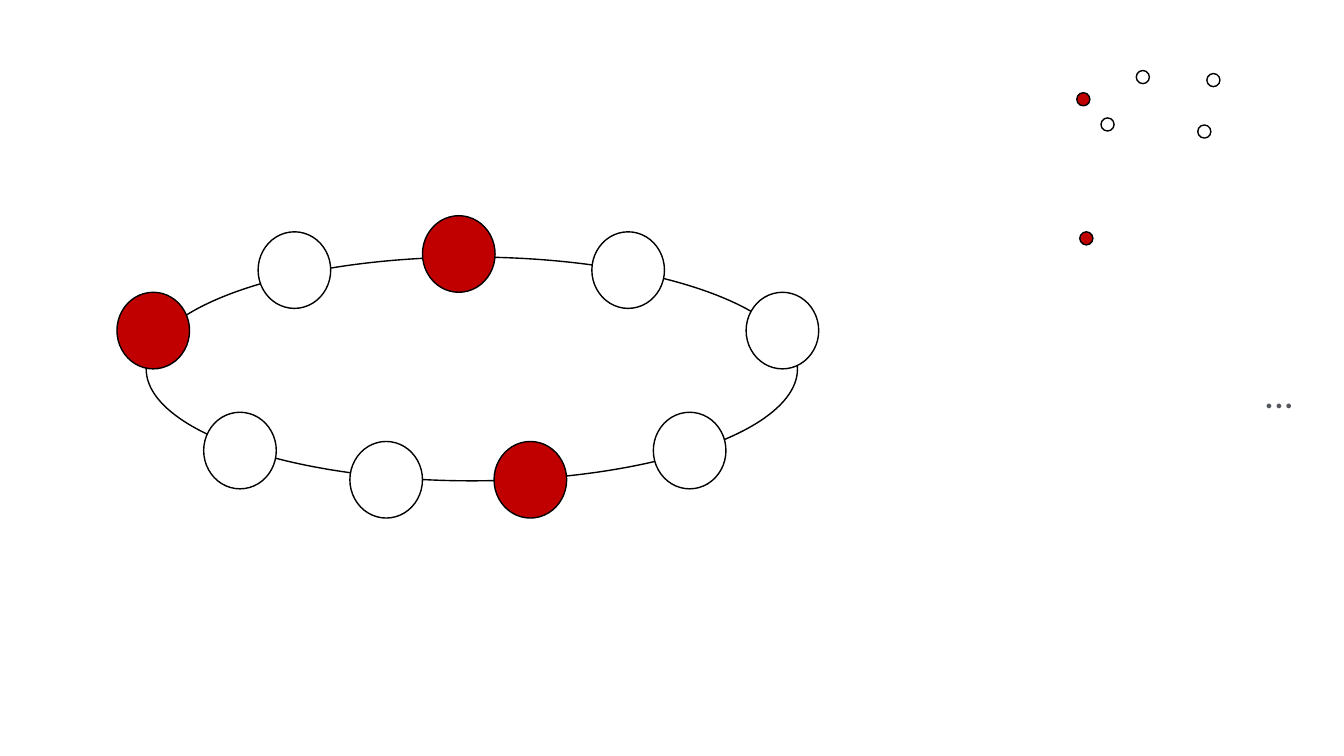
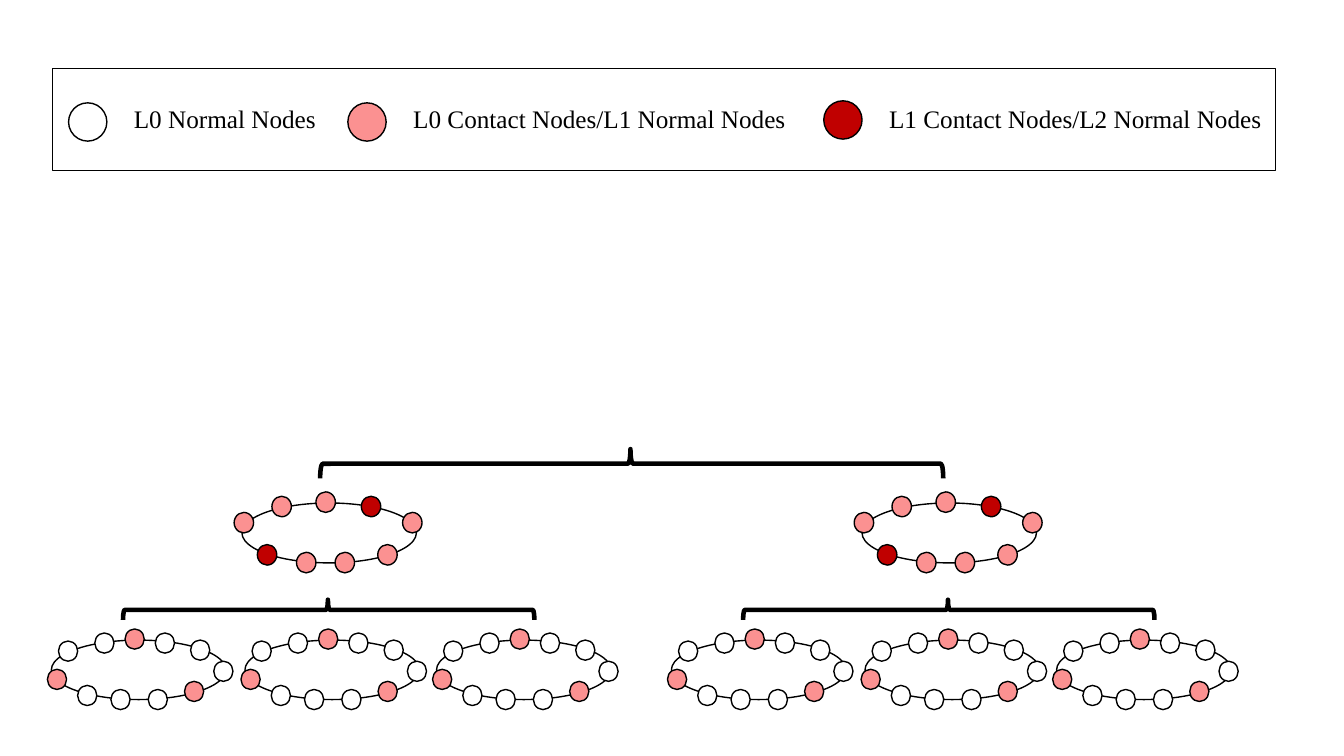
"""Build two slides of node rings: a single ring and a layered hierarchy."""
from dataclasses import dataclass

from pptx import Presentation
from pptx.dml.color import RGBColor
from pptx.enum import shapes, text
from pptx.util import Inches, Pt

BLACK, WHITE, PINK, RED = "000000", "FFFFFF", "FB9191", "C00000"
FILLS = {"W": WHITE, "P": PINK, "R": RED}
Shape = shapes.MSO_SHAPE


@dataclass(frozen=True)
class RingLayout:
    """An oval, its node size and the node offsets from the oval's corner."""
    width: float
    height: float
    node_width: float
    node_height: float
    offsets: tuple[tuple[float, float], ...]


@dataclass(frozen=True)
class LegendEntry:
    """A legend dot with the label beside it."""
    left: float
    top: float
    fill: str
    label: str
    label_width: float


@dataclass(frozen=True)
class Dot:
    """A loose node."""
    left: float
    top: float
    fill: str


NINE_NODES = RingLayout(6.46, 2.22, 0.72, 0.76, (
    (-0.29, 0.35), (1.11, -0.25), (2.74, -0.41), (4.42, -0.25), (5.95, 0.35),
    (5.03, 1.54), (3.45, 1.83), (2.02, 1.83), (0.57, 1.54)))
ELEVEN_NODES = RingLayout(1.73, 0.59, 0.19, 0.2, (
    (0.07, 0.01), (0.43, -0.07), (0.73, -0.11), (1.03, -0.07), (1.38, 0),
    (1.61, 0.21), (1.32, 0.41), (0.96, 0.49), (0.59, 0.49), (0.26, 0.45),
    (-0.04, 0.29)))
SMALL_RING = 1.73

LOOSE_DOTS = (
    Dot(10.71, 2.3, RED), Dot(11.27, 0.7, WHITE), Dot(11.97, 0.73, WHITE),
    Dot(11.88, 1.24, WHITE), Dot(10.92, 1.17, WHITE), Dot(10.68, 0.92, RED))
LEGEND = (
    LegendEntry(0.68, 1.02, WHITE, "L0 Normal Nodes", 2.73),
    LegendEntry(3.45, 1.02, PINK, "L0 Contact Nodes/L1 Normal Nodes", 4.95),
    LegendEntry(8.17, 1, RED, "L1 Contact Nodes/L2 Normal Nodes", 4.31))
CLUSTER_LEFTS = (0.51, 6.66)
LEAF_STEPS = (0, 1.92, 3.82)


def color(code: str) -> RGBColor:
    """Turn a hex string into a colour."""
    return RGBColor.from_string(code)


def add_outline(canvas, kind, left: float, top: float, width: float,
                height: float, fill: str | None = WHITE, weight: float = 1):
    """Add a black-lined shape without a shadow."""
    shape = canvas.shapes.add_shape(
        kind, Inches(left), Inches(top), Inches(width), Inches(height))
    shape.shadow.inherit = False
    if fill is None:
        shape.fill.background()
    else:
        shape.fill.solid()
        shape.fill.fore_color.rgb = color(fill)
    shape.line.color.rgb = color(BLACK)
    shape.line.width = Pt(weight)
    return shape


def add_ring(canvas, layout: RingLayout, left: float, top: float,
             width: float, fills: str) -> None:
    """Draw an oval of the given width with its nodes."""
    scale = width / layout.width
    add_outline(canvas, Shape.OVAL, left, top, width, layout.height * scale)
    for (across, down), key in zip(layout.offsets, fills, strict=True):
        add_outline(canvas, Shape.OVAL, left + across * scale, top + down * scale,
                    layout.node_width * scale, layout.node_height * scale, FILLS[key])


def add_brace(canvas, left: float, top: float, width: float, height: float) -> None:
    """Draw a heavy brace turned to point upwards."""
    brace = add_outline(canvas, Shape.LEFT_BRACE, left, top, width, height, None, 3.25)
    brace.rotation = 90
    brace.adjustments[0] = 0.083
    brace.adjustments[1] = 0.502


def add_label(canvas, left: float, top: float, width: float, height: float,
              words: str, font: str, size: float):
    """Add one line of text and return its run."""
    box = canvas.shapes.add_textbox(
        Inches(left), Inches(top), Inches(width), Inches(height))
    box.text_frame.word_wrap = True
    box.text_frame.auto_size = text.MSO_AUTO_SIZE.SHAPE_TO_FIT_TEXT
    span = box.text_frame.paragraphs[0].add_run()
    span.text = words
    span.font.name = font
    span.font.size = Pt(size)
    return span


def add_legend(page) -> None:
    """Draw the framed legend."""
    group = page.shapes.add_group_shape()
    add_outline(group, Shape.RECTANGLE, 0.52, 0.68, 12.13, 1.01)
    for entry in LEGEND:
        add_outline(group, Shape.OVAL, entry.left, entry.top, 0.38, 0.38, entry.fill)
        span = add_label(group, entry.left + 0.55, 0.98, entry.label_width, 0.4,
                         entry.label, "Times New Roman", 18)
        span.font.color.rgb = color(BLACK)


def add_cluster(page, left: float) -> None:
    """Draw a middle ring, its brace and the three rings below."""
    group = page.shapes.add_group_shape()
    add_brace(group, left + 2.65, 4.01, 0.2, 4.08)
    add_ring(group, NINE_NODES, left + 1.89, 4.99, SMALL_RING, "PPPRPPPPR")
    for step in LEAF_STEPS:
        add_ring(group, ELEVEN_NODES, left + step, 6.35, SMALL_RING, "WWPWWWPWWWP")


def build_single_ring(page) -> None:
    """Draw one large ring, loose dots and an ellipsis."""
    add_ring(page, NINE_NODES, 1.45, 2.55, NINE_NODES.width, "RWRWWWRWW")
    for dot in LOOSE_DOTS:
        add_outline(page, Shape.OVAL, dot.left, dot.top, 0.13, 0.13, dot.fill)
    span = add_label(page, 12.44, 3.61, 0.55, 0.57, "...", "Calibri", 28)
    fill = span.font.fill
    fill.gradient()
    fill.gradient_angle = 270
    for stop, (position, code) in zip(
            fill.gradient_stops, ((0.21, "53575C"), (0.88, "C5C7CA"))):
        stop.position = position
        stop.color.rgb = color(code)


def build_hierarchy(page) -> None:
    """Draw the legend and the two clusters joined by a brace."""
    add_legend(page)
    for left in CLUSTER_LEFTS:
        add_cluster(page, left)
    add_brace(page, 6.12, 1.51, 0.29, 6.18)


def main() -> None:
    """Build and save the deck."""
    deck = Presentation()
    deck.slide_width, deck.slide_height = Inches(13.33), Inches(7.5)
    for build in (build_single_ring, build_hierarchy):
        build(deck.slides.add_slide(deck.slide_layouts.get_by_name("Blank")))
    deck.save("out.pptx")


if __name__ == "__main__":
    main()
